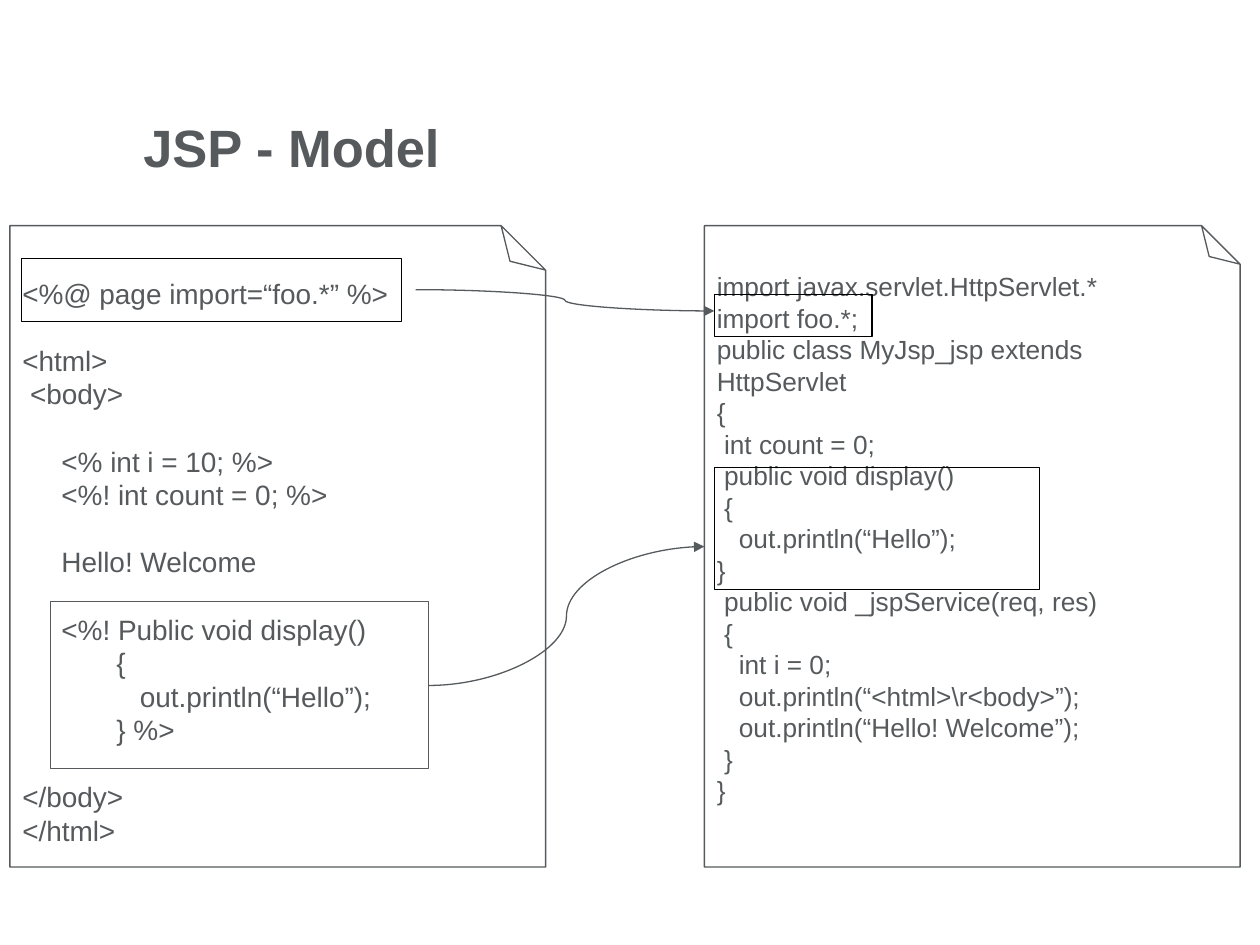
from lxml.etree import SubElement
from pptx import Presentation
from pptx.dml.color import RGBColor
from pptx.enum.shapes import MSO_CONNECTOR as CONNECTOR, MSO_SHAPE as SHAPE
from pptx.enum.text import MSO_ANCHOR as ANCHOR, PP_ALIGN as ALIGN
from pptx.oxml.ns import qn
from pptx.util import Cm, Pt

COLORS = {"text": "565A5C", "black": "000000", "white": "FFFFFF"}
SPACE_WIDTH = 0.28  # width of a space in Arial, in ems
PAGE_TOP, PAGE_WIDTH, PAGE_HEIGHT = 4.55, 10.8, 12.93

# Each code line: (indent in spaces, empty lines above, text)
JSP_LINES = [
    (0, 0, "<%@ page import=“foo.*” %>"),
    (0, 1, "<html>"),
    (1, 0, "<body>"),
    (5, 1, "<% int i = 10; %>"),
    (5, 0, "<%! int count = 0; %>"),
    (5, 1, "Hello! Welcome"),
    (5, 1, "<%! Public void display()"),
    (12, 0, "{"),
    (15, 0, "out.println(“Hello”);"),
    (12, 0, "} %>"),
    (0, 1, "</body>"),
    (0, 0, "</html>"),
]
SERVLET_LINES = [
    (0, 0, "import javax.servlet.HttpServlet.*"),
    (0, 0, "import foo.*;"),
    (0, 0, "public class MyJsp_jsp extends"),
    (0, 0, "HttpServlet"),
    (0, 0, "{"),
    (1, 0, "int count = 0;"),
    (1, 0, "public void display()"),
    (1, 0, "{"),
    (3, 0, "out.println(“Hello”);"),
    (0, 0, "}"),
    (1, 0, "public void _jspService(req, res)"),
    (1, 0, "{"),
    (3, 0, "int i = 0;"),
    (3, 0, "out.println(“<html>\\r<body>”);"),
    (3, 0, "out.println(“Hello! Welcome”);"),
    (1, 0, "}"),
    (0, 0, "}"),
]

presentation = Presentation()
presentation.slide_width, presentation.slide_height = Cm(25.4), Cm(19.05)
slide = presentation.slides.add_slide(presentation.slide_layouts[6])


def add_outline(kind, box, color):
    """Add an unfilled preset shape; box is left, top, width, height in cm."""
    shape = slide.shapes.add_shape(kind, *map(Cm, box))
    shape.shadow.inherit = False
    shape.fill.background()
    shape.line.color.rgb = RGBColor.from_string(COLORS[color])
    shape.line.width = Pt(0.75)
    return shape


def write_line(paragraph, text, size, bold=False):
    paragraph.alignment = ALIGN.LEFT
    run = paragraph.add_run()
    run.text = text
    font_format = {"name": "Arial", "size": Pt(size), "bold": bold}
    for attribute, value in font_format.items():
        setattr(run.font, attribute, value)
    run.font.color.rgb = RGBColor.from_string(COLORS["text"])


# Title
title = slide.shapes.add_textbox(Cm(2.79), Cm(2.13), Cm(10.62), Cm(1.65))
title.fill.solid()
title.fill.fore_color.rgb = RGBColor.from_string(COLORS["white"])
title_format = {
    "word_wrap": True, "vertical_anchor": ANCHOR.MIDDLE, "margin_left": Cm(0.1),
    "margin_top": 0, "margin_right": 0, "margin_bottom": 0,
}
for attribute, value in title_format.items():
    setattr(title.text_frame, attribute, value)
write_line(title.text_frame.paragraphs[0], "JSP - Model", 30, bold=True)

# Code pages: flipped so the fold is at the top, with the text turned back
for left, fold, size, code_lines in [
    (0.2, 8300, 16, JSP_LINES),
    (14.2, 7200, 15, SERVLET_LINES),
]:
    page = add_outline(
        SHAPE.FOLDED_CORNER, (left, PAGE_TOP, PAGE_WIDTH, PAGE_HEIGHT), "text")
    properties = page._element.spPr
    properties.find(qn("a:xfrm")).set("flipV", "1")
    adjustments = properties.find(qn("a:prstGeom")).get_or_add_avLst()
    SubElement(adjustments, qn("a:gd"), name="adj", fmla=f"val {fold}")
    frame = page.text_frame
    frame._txBody.find(qn("a:bodyPr")).set("rot", "10800000")
    frame.vertical_anchor = ANCHOR.TOP
    frame.word_wrap = True
    pitch = 1.2 * size
    for number, (indent, gap, text) in enumerate(code_lines):
        paragraph = frame.add_paragraph() if number else frame.paragraphs[0]
        paragraph.line_spacing = Pt(pitch)
        paragraph.space_before = Pt(gap * pitch)
        properties = paragraph._p.get_or_add_pPr()
        properties.set("marL", str(Pt(indent * SPACE_WIDTH * size)))
        properties.set("indent", "0")
        write_line(paragraph, text, size)

# Arrows from JSP code to the servlet code made from it
for ends in [(8.38, 5.84, 14.4, 6.27), (8.64, 13.82, 14.2, 11.02)]:
    arrow = slide.shapes.add_connector(CONNECTOR.CURVE, *map(Cm, ends))
    arrow.line.color.rgb = RGBColor.from_string(COLORS["text"])
    arrow.line.width = Pt(0.75)
    SubElement(arrow.line._get_or_add_ln(), qn("a:tailEnd"), type="triangle")
    SubElement(arrow._element.spPr, qn("a:effectLst"))

# Frames around the matching code
for box, color in [
    ((0.43, 5.21, 7.67, 1.27), "black"),
    ((14.4, 5.94, 3.18, 0.84), "black"),
    ((1.02, 12.12, 7.62, 3.38), "text"),
    ((14.4, 9.42, 6.55, 2.46), "black"),
]:
    add_outline(SHAPE.RECTANGLE, box, color)

presentation.save("out.pptx")
